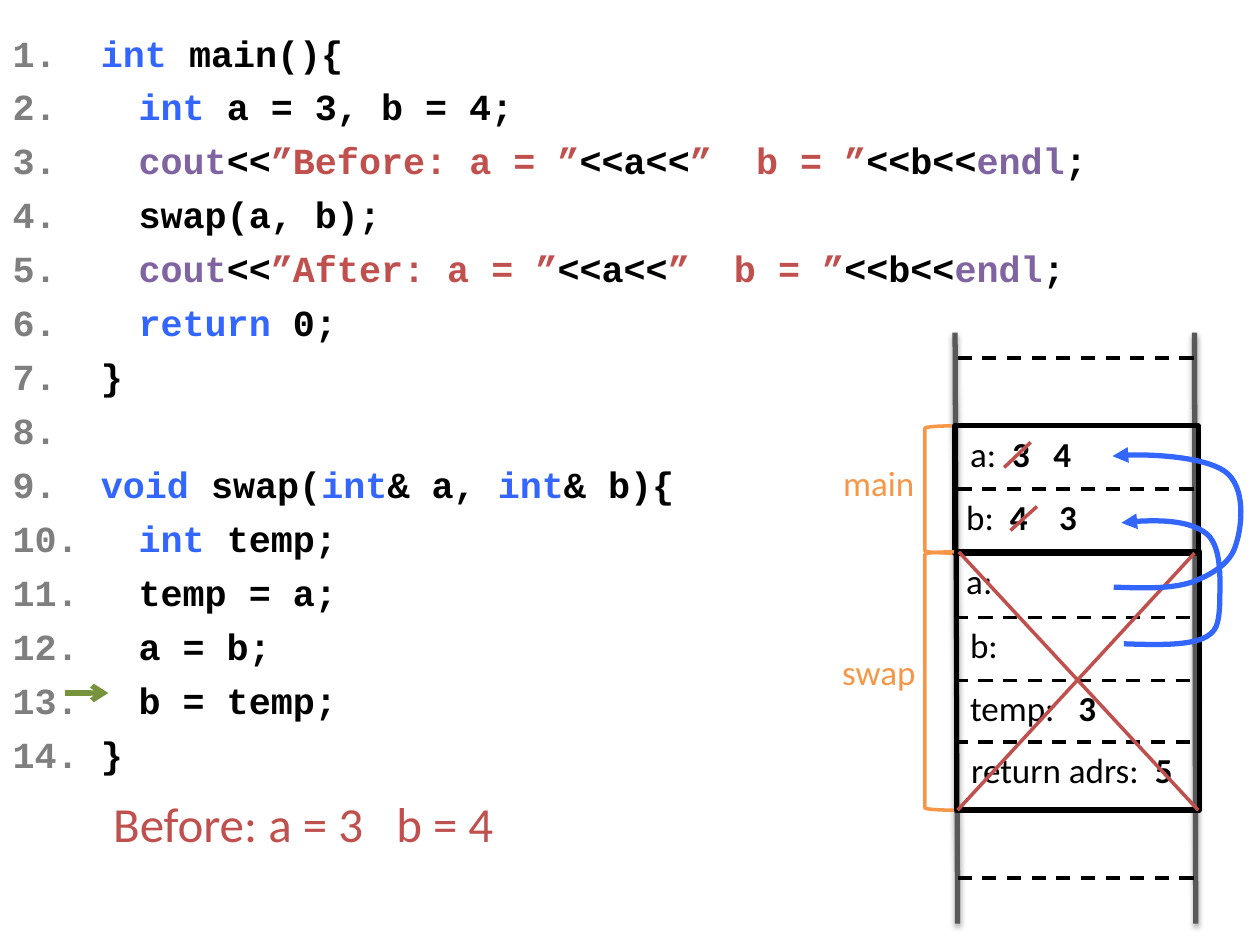
"""Build a slide that traces a swap by reference through the call stack."""
from dataclasses import dataclass
from typing import Optional

from lxml.etree import SubElement
from pptx import Presentation
from pptx.dml.color import RGBColor
from pptx.enum.dml import MSO_LINE
from pptx.enum.shapes import MSO_CONNECTOR, MSO_SHAPE
from pptx.enum.text import MSO_ANCHOR, MSO_AUTO_SIZE, PP_ALIGN
from pptx.oxml.ns import qn
from pptx.util import Inches, Pt

BLACK, GREY, BLUE, PURPLE = "000000", "7F7F7F", "3366FF", "8064A2"
RED, ORANGE, GREEN, RAIL_GREY = "C0504D", "F79646", "77933C", "595959"
Point = tuple[float, float]


@dataclass(frozen=True)
class Token:
    text: str
    color: str = BLACK
    bold: bool = False


@dataclass(frozen=True)
class Frame:
    name: str
    top: float
    height: float
    left: float
    label_top: float


@dataclass(frozen=True)
class Row:
    top: float
    text_left: float
    dash_left: float
    label: str
    value: str = ""


def output_line(number: str, label: str) -> list[Token]:
    return [Token(number, GREY), Token("cout", PURPLE), Token("<<"),
            Token(f"”{label}: a = ”", RED), Token("<<a<<"),
            Token("”  b = ”", RED), Token("<<b<<"),
            Token("endl", PURPLE), Token(";")]


CODE = [
    [Token("1.  ", GREY), Token("int ", BLUE), Token("main(){")],
    [Token("2.  \t", GREY), Token("int ", BLUE), Token("a = 3, b = 4;")],
    output_line("3.  \t", "Before"),
    [Token("4.  \t", GREY), Token("swap(a, b);")],
    output_line("5.  \t", "After"),
    [Token("6.  \t", GREY), Token("return", BLUE), Token(" 0;")],
    [Token("7.  ", GREY), Token("}")],
    [Token("8.", GREY)],
    [Token("9.  ", GREY), Token("void ", BLUE), Token("swap("),
     Token("int", BLUE), Token("& a, "), Token("int", BLUE), Token("& b){")],
    [Token("10.\t", GREY), Token("int", BLUE), Token(" temp;")],
    [Token("11.\t", GREY), Token("temp = a;")],
    [Token("12.\t", GREY), Token("a = b;")],
    [Token("13.\t", GREY), Token("b = temp;")],
    [Token("14.", GREY), Token(" }")],
]
FRAMES = [Frame("main", 3.38, 1.01, 7.58, 3.61),
          Frame("swap", 4.38, 2.05, 7.59, 5.11)]
ROWS = [Row(3.38, 7.6, 7.57, "a:  ", "3   4"),
        Row(3.88, 7.57, 7.6, "b:  ", "4    3"),
        Row(4.39, 7.57, 7.57, "a:"),
        Row(4.9, 7.6, 7.57, "b:"),
        Row(5.4, 7.6, 7.57, "temp:   ", "3"),
        Row(5.89, 7.61, 7.57, "return adrs:  ", "5")]
OUTER_DASHES = [(7.6, 2.84), (7.6, 6.97), (7.58, 6.43)]
RAILS = [((7.58, 2.64), (7.6, 7.33)), ((9.49, 7.33), (9.48, 2.64))]
CROSS = [((7.61, 4.38), (9.51, 6.43)), ((9.48, 4.39), (7.6, 6.43))]
STRIKES = [((8.18, 3.51), (7.97, 3.71)), ((8.23, 4.02), (8.02, 4.21))]
REFERENCES = [
    [(8.84, 4.66), (9.13, 4.67), (9.3, 4.67), (9.46, 4.62), (9.62, 4.56),
     (9.77, 4.47), (9.81, 4.32), (9.86, 4.17), (9.89, 3.86), (9.72, 3.74),
     (9.56, 3.63), (9.01, 3.59), (8.83, 3.62)],
    [(8.92, 5.11), (9.21, 5.12), (9.41, 5.12), (9.54, 5.07), (9.66, 5.02),
     (9.67, 4.95), (9.68, 4.81), (9.68, 4.67), (9.71, 4.35), (9.58, 4.24),
     (9.45, 4.13), (9.09, 4.12), (8.9, 4.15)],
]


def rgb(color: str) -> RGBColor:
    return RGBColor.from_string(color)


def style_line(line, color: str, width: float, head: Optional[str] = None) -> None:
    line.color.rgb = rgb(color)
    line.width = Pt(width)
    if head:
        SubElement(line._get_or_add_ln(), qn("a:tailEnd"), type=head)


def add_runs(paragraph, tokens: list[Token], font: str, size: float) -> None:
    for token in tokens:
        run = paragraph.add_run()
        run.text = token.text
        run.font.name = font
        run.font.size = Pt(size)
        run.font.bold = token.bold
        run.font.color.rgb = rgb(token.color)


def add_code(placeholder) -> None:
    placeholder.left, placeholder.top = Inches(0), Inches(0.19)
    placeholder.width, placeholder.height = Inches(8.9), Inches(6.07)
    frame = placeholder.text_frame
    frame.auto_size = MSO_AUTO_SIZE.NONE
    frame.vertical_anchor = MSO_ANCHOR.TOP
    for index, tokens in enumerate(CODE):
        paragraph = frame.add_paragraph() if index else frame.paragraphs[0]
        paragraph.space_before = Pt(5.6)
        properties = paragraph._p.get_or_add_pPr()
        properties.set("marL", "0")
        properties.set("indent", "0")
        SubElement(properties, qn("a:buNone"))
        add_runs(paragraph, [Token(t.text, t.color, True) for t in tokens],
                 "Courier New", 21)


def add_label(shapes, left: float, top: float, width: float, tokens: list[Token],
              size: float = 20, height: float = 0.44,
              align: PP_ALIGN = PP_ALIGN.LEFT) -> None:
    label = shapes.add_textbox(Inches(left), Inches(top), Inches(width), Inches(height))
    label.text_frame.word_wrap = True
    label.text_frame.auto_size = MSO_AUTO_SIZE.SHAPE_TO_FIT_TEXT
    paragraph = label.text_frame.paragraphs[0]
    paragraph.alignment = align
    add_runs(paragraph, tokens, "Calibri", size)


def add_line(shapes, start: Point, end: Point, color: str, width: float = 2,
             dashed: bool = False, head: Optional[str] = None,
             shadow: bool = False) -> None:
    connector = shapes.add_connector(
        MSO_CONNECTOR.STRAIGHT, *(Inches(value) for value in (*start, *end)))
    if dashed:
        connector.line.dash_style = MSO_LINE.DASH
    style_line(connector.line, color, width, head)
    effects = SubElement(connector._element.spPr, qn("a:effectLst"))
    if shadow:
        outer = SubElement(effects, qn("a:outerShdw"), blurRad="40000",
                           dist="20000", dir="5400000", rotWithShape="0")
        tint = SubElement(outer, qn("a:srgbClr"), val=BLACK)
        SubElement(tint, qn("a:alpha"), val="38000")


def add_dash(shapes, left: float, top: float) -> None:
    add_line(shapes, (left, top), (left + 1.91, top), BLACK, dashed=True)


def add_outline(shapes, kind: MSO_SHAPE, left: float, top: float, width: float,
                height: float, color: str, weight: float) -> None:
    outline = shapes.add_shape(kind, Inches(left), Inches(top), Inches(width), Inches(height))
    outline.shadow.inherit = False
    outline.fill.background()
    style_line(outline.line, color, weight)


def add_curve(shapes, points: list[Point]) -> None:
    start, *rest = [(Inches(x), Inches(y)) for x, y in points]
    builder = shapes.build_freeform(*start)
    builder.add_line_segments(rest, close=False)
    curve = builder.convert_to_shape()
    curve.shadow.inherit = False
    curve.fill.background()
    style_line(curve.line, BLUE, 3, "triangle")
    outline = curve._element.find(".//" + qn("a:path"))
    segments = outline.findall(qn("a:lnTo"))
    for first in range(0, len(segments), 3):
        bezier = SubElement(outline, qn("a:cubicBezTo"))
        for segment in segments[first:first + 3]:
            bezier.append(segment[0])
            outline.remove(segment)


def main() -> None:
    presentation = Presentation()
    presentation.slide_width, presentation.slide_height = Inches(10), Inches(7.5)
    slide = presentation.slides.add_slide(presentation.slide_layouts[1])
    shapes = slide.shapes
    title = shapes.title._element
    title.getparent().remove(title)
    add_code(slide.placeholders[1])
    for start, end in RAILS:
        add_line(shapes, start, end, RAIL_GREY, 3, shadow=True)
    for left, top in OUTER_DASHES + [(row.dash_left, row.top) for row in ROWS]:
        add_dash(shapes, left, top)
    for frame in FRAMES:
        add_outline(shapes, MSO_SHAPE.LEFT_BRACKET, 7.34, frame.top, 0.23,
                    frame.height, ORANGE, 2)
        add_outline(shapes, MSO_SHAPE.RECTANGLE, frame.left, frame.top, 1.93,
                    frame.height, BLACK, 3)
        add_label(shapes, 6.5, frame.label_top, 0.95, [Token(frame.name, ORANGE)],
                  align=PP_ALIGN.CENTER)
    for row in ROWS:
        tokens = [Token(row.label)] + ([Token(row.value, bold=True)] if row.value else [])
        add_label(shapes, row.text_left, row.top, 1.89, tokens)
    for start, end in CROSS + STRIKES:
        add_line(shapes, start, end, RED)
    for points in REFERENCES:
        add_curve(shapes, points)
    add_line(shapes, (0.52, 5.5), (0.86, 5.5), GREEN, 3, head="arrow")
    add_label(shapes, 0.8, 6.25, 3.8, [Token("Before: a = 3   b = 4", RED)], 28, 0.57)
    presentation.save("out.pptx")


if __name__ == "__main__":
    main()
